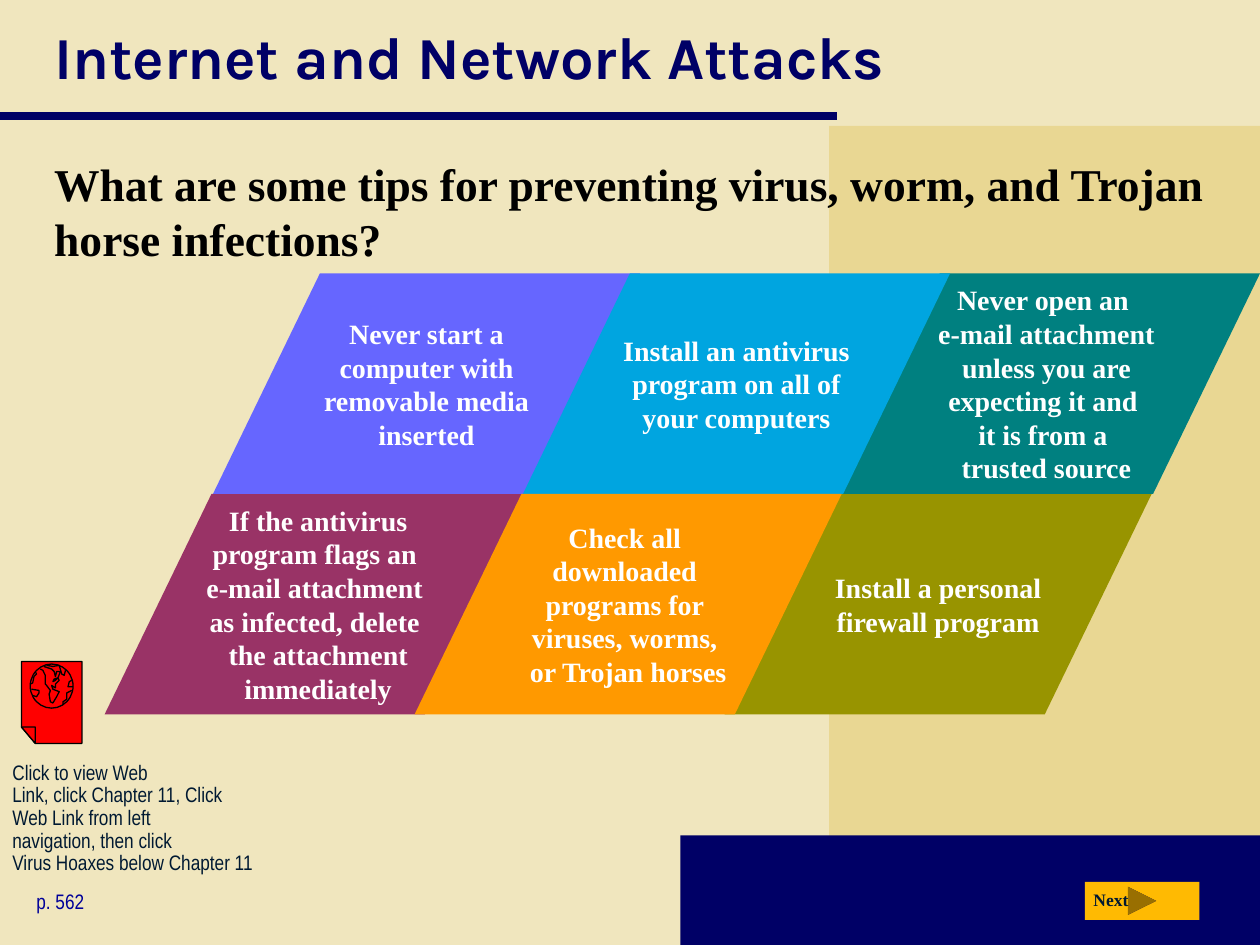
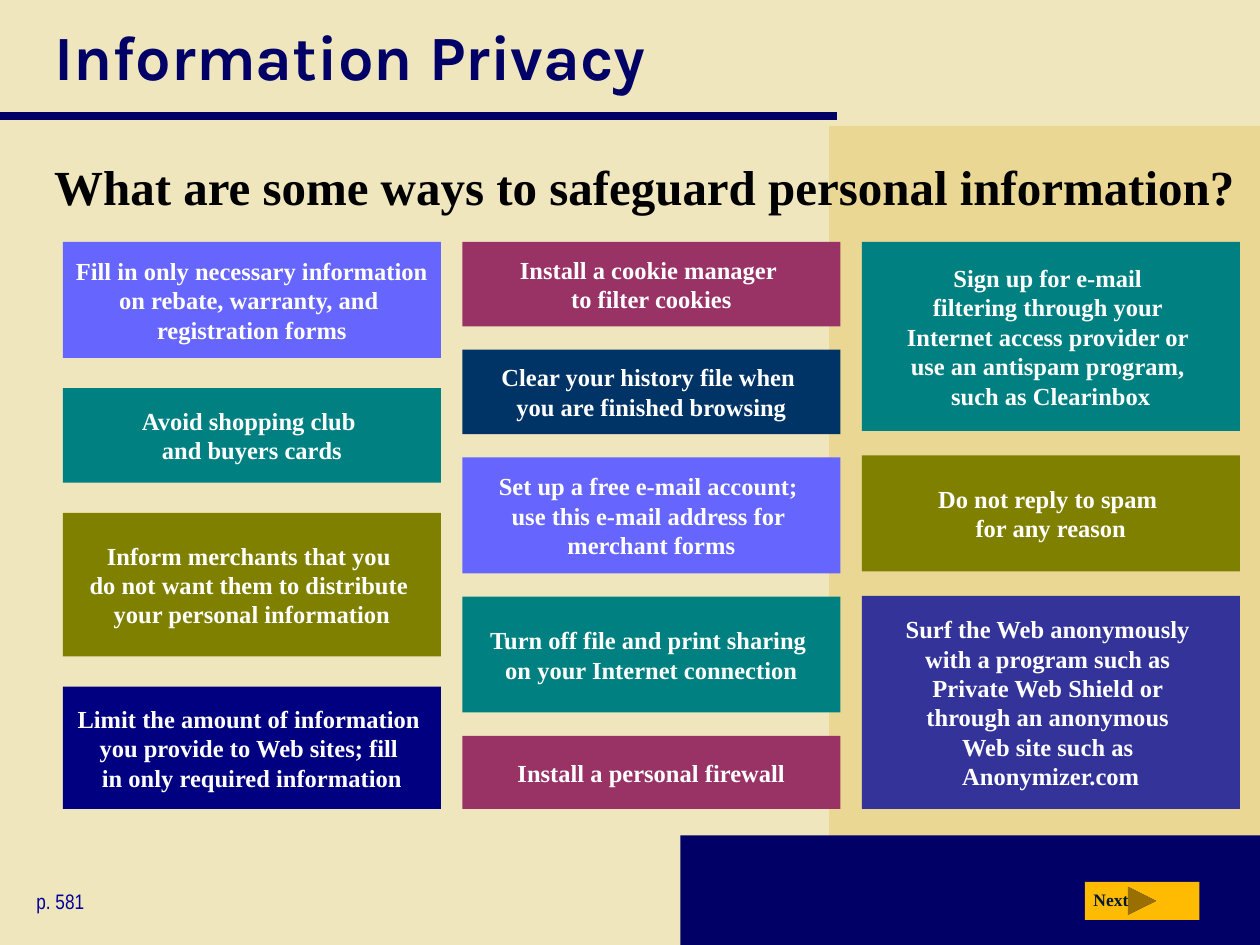
from lxml import etree
from pptx import Presentation
from pptx import util as u
from pptx.dml.color import RGBColor
from pptx.enum import shapes, text
from pptx.oxml import ns

CREAM = RGBColor(0xF0, 0xE6, 0xBE)
SAND = RGBColor(0xE9, 0xD7, 0x93)
MIDNIGHT = RGBColor(0x00, 0x00, 0x66)
PAGE_BLUE = RGBColor(0x00, 0x00, 0x99)
INK = RGBColor(0x00, 0x19, 0x32)
AMBER = RGBColor(0xFF, 0xBA, 0x02)
BLACK = RGBColor(0x00, 0x00, 0x00)
WHITE = RGBColor(0xFF, 0xFF, 0xFF)
RED = RGBColor(0xFF, 0x00, 0x00)
PERIWINKLE = RGBColor(0x66, 0x66, 0xFF)
SKY = RGBColor(0x00, 0xA5, 0xE0)
TEAL = RGBColor(0x00, 0x80, 0x80)
PLUM = RGBColor(0x99, 0x33, 0x66)
ORANGE = RGBColor(0xFF, 0x99, 0x00)
MOSS = RGBColor(0x98, 0x94, 0x00)
OLIVE = RGBColor(0x80, 0x80, 0x00)
NAVY = RGBColor(0x00, 0x00, 0x80)
DEEP_BLUE = RGBColor(0x00, 0x33, 0x66)
INDIGO = RGBColor(0x33, 0x33, 0x99)

SERIF = "Times New Roman"
NARROW = "Arial Narrow"
TITLE_FONT = "Karla"
SHAPE = shapes.MSO_SHAPE

TIPS = [
    (1, 2, MOSS, "Install a personal\nfirewall program"),
    (1, 0, PLUM, "If the antivirus program flags an \ne-mail attachment \n"
                 "as infected, delete \nthe attachment immediately"),
    (0, 0, PERIWINKLE, "Never start a computer with removable media inserted"),
    (0, 2, TEAL, "Never open an \ne-mail attachment unless you are expecting it and \n"
                 "it is from a \ntrusted source"),
    (0, 1, SKY, "Install an antivirus program on all of your computers"),
    (1, 1, ORANGE, "Check all \ndownloaded \nprograms for \nviruses, worms, \nor Trojan horses"),
]

SAFEGUARDS = [
    [(0.92, PERIWINKLE, "Fill in only necessary information\non rebate, warranty, and \n"
                        "registration forms"),
     (0.75, TEAL, "Avoid shopping club \nand buyers cards"),
     (1.14, OLIVE, "Inform merchants that you \ndo not want them to distribute \n"
                   "your personal information"),
     (0.97, NAVY, "Limit the amount of information \nyou provide to Web sites; fill \n"
                  "in only required information")],
    [(0.67, PLUM, "Install a cookie manager \nto filter cookies"),
     (0.67, DEEP_BLUE, "Clear your history file when \nyou are finished browsing"),
     (0.92, PERIWINKLE, "Set up a free e-mail account; \nuse this e-mail address for \n"
                        "merchant forms"),
     (0.92, TEAL, "Turn off file and print sharing \non your Internet connection"),
     (0.58, PLUM, "Install a personal firewall")],
    [(1.5, TEAL, "Sign up for e-mail \nfiltering through your \nInternet access provider or \n"
                 "use an antispam program, \nsuch as Clearinbox"),
     (0.92, OLIVE, "Do not reply to spam \nfor any reason"),
     (1.69, INDIGO, "Surf the Web anonymously \nwith a program such as \nPrivate Web Shield or \n"
                    "through an anonymous \nWeb site such as \nAnonymizer.com")],
]

WEB_LINK = ("Click to view Web \nLink, click Chapter 11, Click \nWeb Link from left \n"
            "navigation, then click \nVirus Hoaxes below Chapter 11")

SHEET = [[(0.28, 5.9), (0.17, 5.77), (0.17, 5.25), (0.65, 5.25), (0.65, 5.9)]]
FOLD = [[(0.17, 5.77), (0.28, 5.77), (0.28, 5.9)]]
COASTS = [
    [(0.35, 5.29), (0.41, 5.31), (0.43, 5.33), (0.44, 5.37), (0.45, 5.33), (0.48, 5.33),
     (0.46, 5.38), (0.43, 5.39), (0.42, 5.41), (0.44, 5.4), (0.46, 5.38), (0.47, 5.4),
     (0.44, 5.43), (0.44, 5.46), (0.41, 5.44), (0.42, 5.47), (0.47, 5.49), (0.45, 5.53),
     (0.42, 5.58), (0.4, 5.57), (0.39, 5.51), (0.4, 5.48), (0.37, 5.44), (0.36, 5.43),
     (0.36, 5.36), (0.34, 5.32), (0.32, 5.31)],
    [(0.37, 5.28), (0.42, 5.29), (0.47, 5.28), (0.49, 5.35), (0.51, 5.36), (0.52, 5.32)],
    [(0.24, 5.43), (0.26, 5.42), (0.27, 5.37), (0.29, 5.35), (0.28, 5.33)],
    [(0.25, 5.47), (0.31, 5.48), (0.31, 5.5), (0.29, 5.53), (0.26, 5.52)],
    [(0.5, 5.59), (0.5, 5.57), (0.53, 5.55), (0.53, 5.5), (0.57, 5.48)],
    [(0.58, 5.45), (0.54, 5.45), (0.55, 5.41), (0.57, 5.4)],
]


class Lesson:
    def __init__(self):
        self.deck = Presentation()
        self.deck.slide_width = u.Inches(10)
        self.deck.slide_height = u.Inches(7.5)
        self.layout = self.deck.slide_layouts[1]
        self.page = None

    def place(self, item, left, top, width, height):
        item.left, item.top = u.Inches(left), u.Inches(top)
        item.width, item.height = u.Inches(width), u.Inches(height)

    def set_text(self, frame, words, size, font, color, bold=True):
        frame.word_wrap = True
        para = frame.paragraphs[0]
        para.text = words
        para.space_before = u.Pt(0)
        para.font.size = u.Pt(size)
        para.font.name = font
        para.font.bold = bold
        para.font.color.rgb = color
        return para

    def paint(self, item, fill, line=None):
        item.shadow.inherit = False
        if fill is None:
            item.fill.background()
        else:
            item.fill.solid()
            item.fill.fore_color.rgb = fill
        if line is None:
            item.line.fill.background()
        else:
            item.line.color.rgb = line
            item.line.width = u.Pt(0.75)

    def block(self, kind, left, top, width, height, fill, line=None):
        box = self.page.shapes.add_shape(
            kind, u.Inches(left), u.Inches(top), u.Inches(width), u.Inches(height))
        self.paint(box, fill, line)
        return box

    def card(self, kind, left, top, width, height, fill, words, size):
        box = self.block(kind, left, top, width, height, fill)
        frame = box.text_frame
        frame.margin_left = frame.margin_right = frame.margin_top = frame.margin_bottom = 0
        frame.vertical_anchor = text.MSO_ANCHOR.MIDDLE
        para = self.set_text(frame, words, size, SERIF, WHITE)
        para.alignment = text.PP_ALIGN.CENTER
        return box

    def label(self, left, top, width, height, words, size, font, color, bold=False):
        box = self.page.shapes.add_textbox(
            u.Inches(left), u.Inches(top), u.Inches(width), u.Inches(height))
        return self.set_text(box.text_frame, words, size, font, color, bold)

    def rule(self, left, top, right, color, weight):
        line = self.page.shapes.add_connector(
            shapes.MSO_CONNECTOR.STRAIGHT,
            u.Inches(left), u.Inches(top), u.Inches(right), u.Inches(top))
        line.line.color.rgb = color
        line.line.width = u.Pt(weight)
        etree.SubElement(line._element.spPr, ns.qn("a:effectLst"))
        return line

    def outline(self, contours, fill, close=True):
        builder = None
        for contour in contours:
            points = [(u.Inches(x), u.Inches(y)) for x, y in contour]
            if builder is None:
                builder = self.page.shapes.build_freeform(*points[0], scale=1.0)
            else:
                builder.move_to(*points[0])
            builder.add_line_segments(points[1:], close=close)
        self.paint(builder.convert_to_shape(), fill, BLACK)

    def set_master(self):
        master = self.deck.slide_master
        master.background.fill.solid()
        master.background.fill.fore_color.rgb = CREAM
        bands = [
            self.block(SHAPE.RECTANGLE, 6.58, 1, 3.42, 6.5, SAND),
            self.block(SHAPE.RECTANGLE, 5.4, 6.63, 4.6, 0.87, MIDNIGHT),
            self.rule(0, 0.92, 6.64, MIDNIGHT, 5),
        ]
        for index, band in enumerate(bands):
            band._element.xpath(".//p:cNvPr")[0].set("id", str(100 + index))
            master.shapes._spTree.insert(2 + index, band._element)

    def start(self, title, title_size, question, question_size, body_width, page_number):
        first = self.page is None
        self.page = self.deck.slides.add_slide(self.layout)
        if first:
            self.set_master()

        heading, body = self.page.placeholders
        self.place(heading, 0.33, 0, 9.39, 0.88)
        para = self.set_text(heading.text_frame, title, title_size, TITLE_FONT, MIDNIGHT)
        para.alignment = text.PP_ALIGN.LEFT
        heading.text_frame.vertical_anchor = text.MSO_ANCHOR.MIDDLE
        heading.text_frame.auto_size = text.MSO_AUTO_SIZE.NONE

        self.place(body, 0.33, 1.19, body_width, 1.06)
        frame = body.text_frame
        frame.auto_size = text.MSO_AUTO_SIZE.NONE
        frame.margin_right = 0
        properties = frame.paragraphs[0]._p.get_or_add_pPr()
        properties.set("marL", "0")
        properties.set("indent", "0")
        etree.SubElement(properties, ns.qn("a:buNone"))
        self.set_text(frame, question, question_size, SERIF, BLACK)

        self.label(0.19, 7, 1.69, 0.3, page_number, 12, NARROW, PAGE_BLUE)
        self.block(SHAPE.ACTION_BUTTON_FORWARD_OR_NEXT, 8.61, 7, 0.91, 0.3, AMBER)
        self.label(8.58, 7.01, 0.51, 0.27, "Next", 10, SERIF, INK, True)

    def web_link(self):
        para = self.label(0, 6, 2.17, 0.67, WEB_LINK, 12, NARROW, INK)
        para.line_spacing = 0.9
        self.outline(SHEET, RED)
        self.outline(FOLD, RED)
        self.block(SHAPE.OVAL, 0.24, 5.27, 0.34, 0.35, RED, BLACK)
        self.outline(COASTS, None, close=False)

    def tip_grid(self):
        for row, column, fill, words in TIPS:
            tip = self.card(SHAPE.PARALLELOGRAM, 1.69 + 2.46 * column - 0.86 * row,
                            2.17 + 1.75 * row, 3.39, 1.75, fill, words, 16)
            tip.adjustments[0] = 0.485

    def safeguard_columns(self):
        first_top, full_height = 1.92, 4.5
        for index, column in enumerate(SAFEGUARDS):
            used = sum(height for height, _, _ in column)
            gap = (full_height - used) / (len(column) - 1)
            top = first_top
            for height, fill, words in column:
                self.card(SHAPE.RECTANGLE, 0.5 + 3.17 * index, top, 3, height, fill, words, 14)
                top += height + gap


def main():
    lesson = Lesson()
    lesson.start("Internet and Network Attacks", 34,
                 "What are some tips for preventing virus, worm, and Trojan horse infections?",
                 26, 9.39, "p. 562")
    lesson.tip_grid()
    lesson.web_link()
    lesson.start("Information Privacy", 36,
                 "What are some ways to safeguard personal information?",
                 28, 9.6, "p. 581")
    lesson.safeguard_columns()
    lesson.deck.save("out.pptx")


if __name__ == "__main__":
    main()
